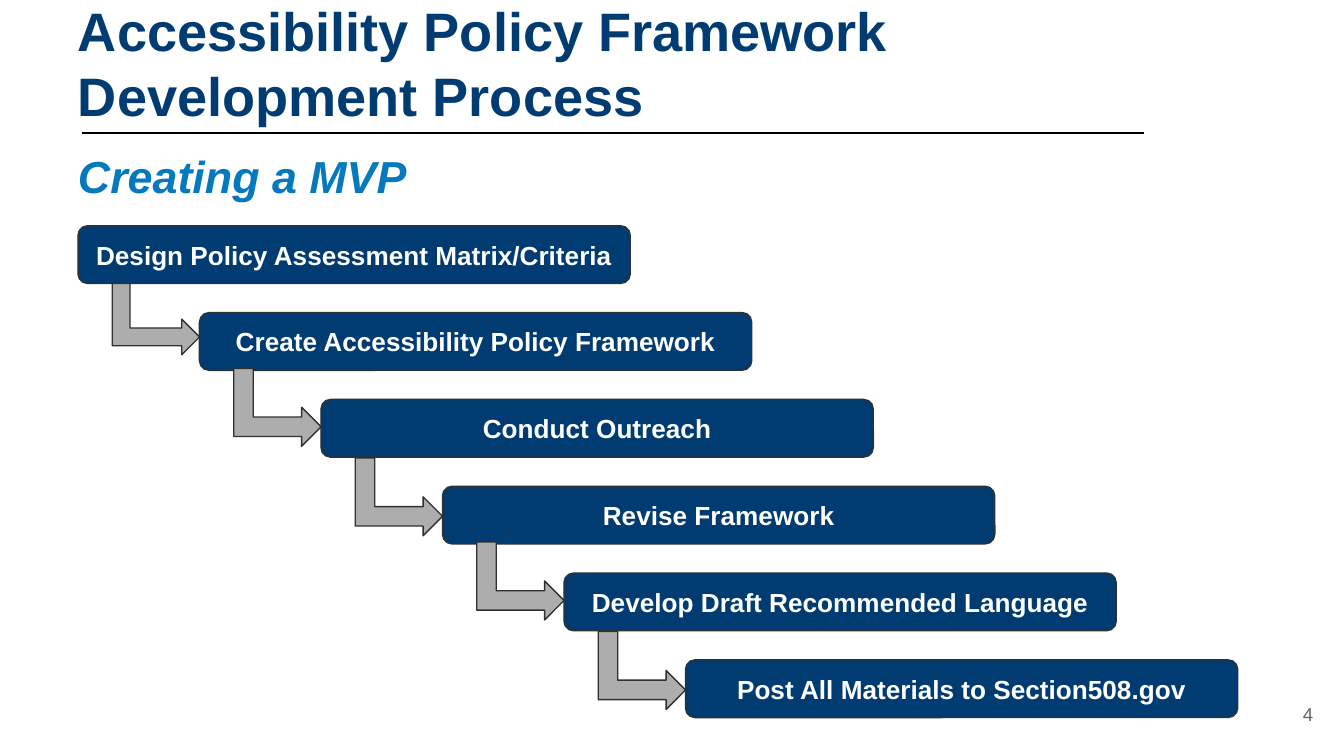
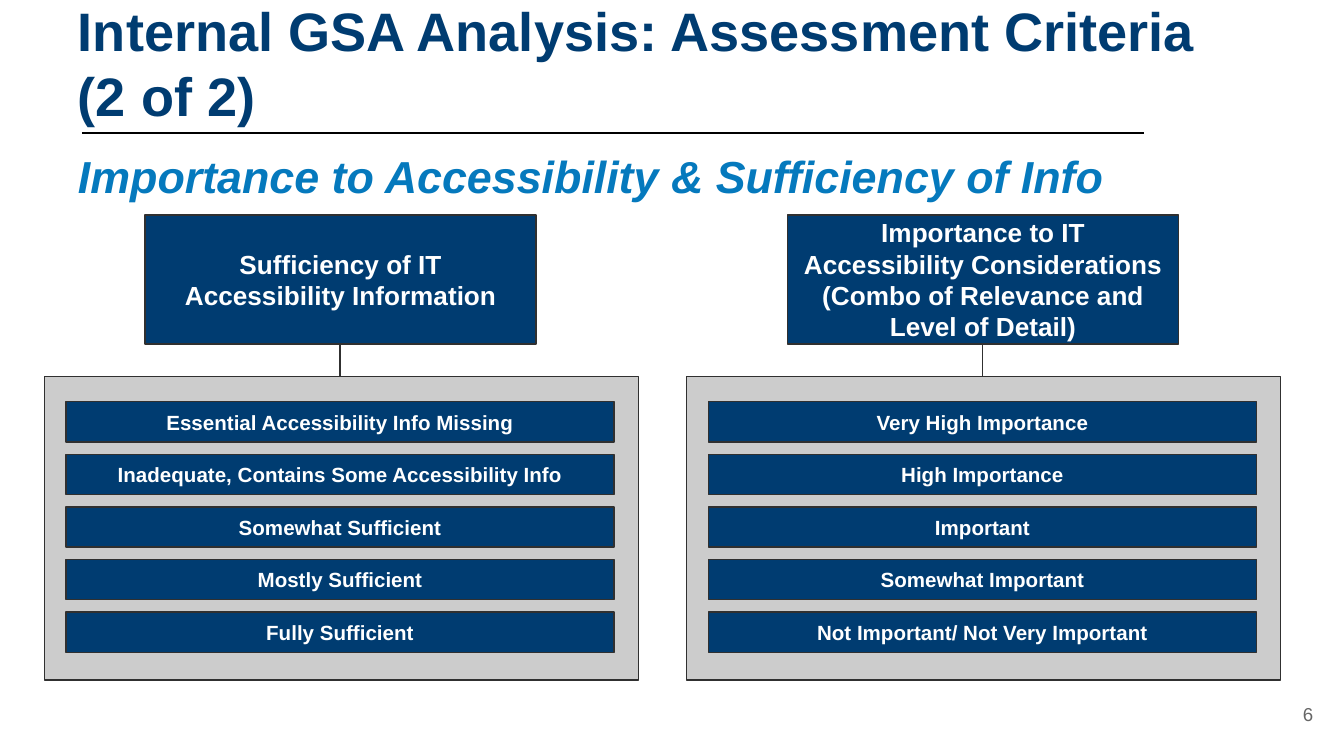
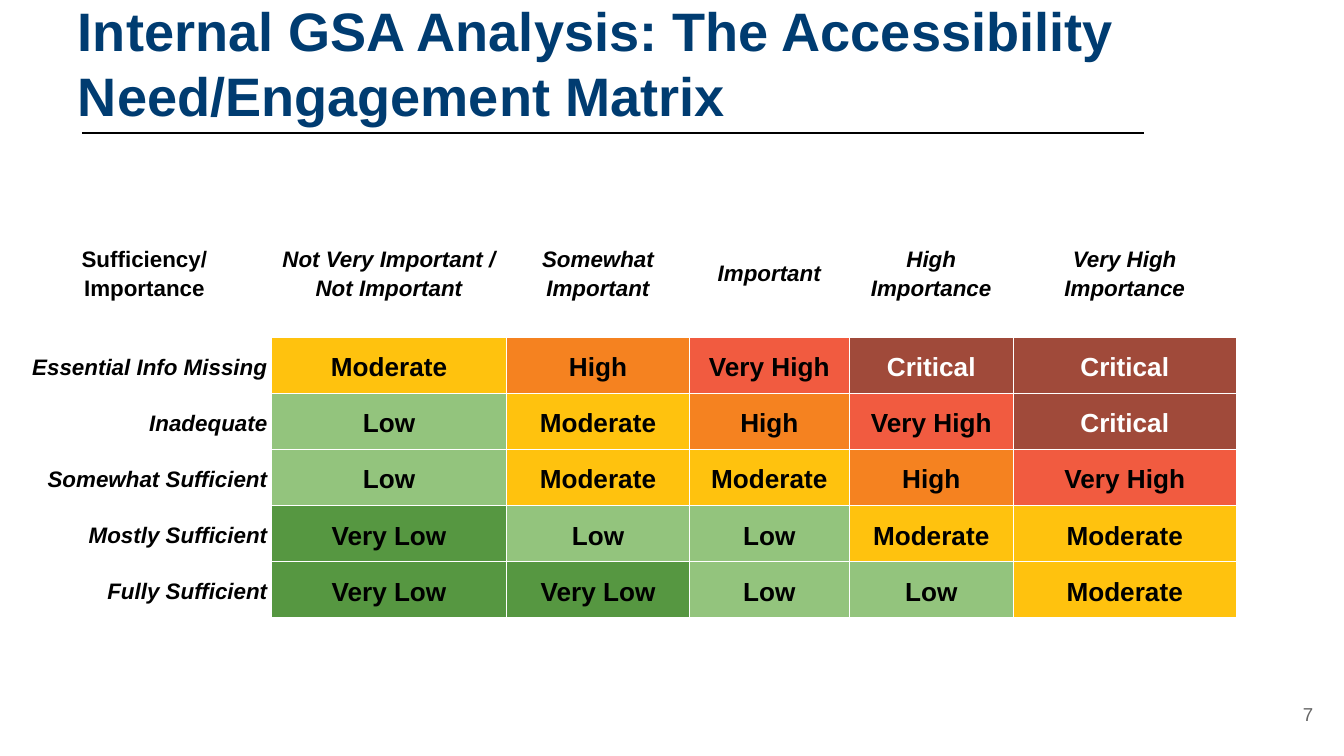
"""Builds three slides on an accessibility policy framework and its need/engagement matrix."""
from lxml import etree
from pptx import Presentation
from pptx import util as u
from pptx.dml.color import RGBColor
from pptx.enum import shapes, text
from pptx.oxml import ns

NAVY = RGBColor(0x00, 0x3C, 0x71)
SKY = RGBColor(0x05, 0x79, 0xBD)
CHARCOAL = RGBColor(0x30, 0x30, 0x30)
SILVER = RGBColor(0xAD, 0xAD, 0xAD)
PANEL_GRAY = RGBColor(0xCC, 0xCC, 0xCC)
NUMBER_GRAY = RGBColor(0x66, 0x66, 0x66)
WHITE = RGBColor(0xFF, 0xFF, 0xFF)
BLACK = RGBColor(0x00, 0x00, 0x00)
LEVELS = {
    "Very Low": RGBColor(0x56, 0x97, 0x41),
    "Low": RGBColor(0x93, 0xC4, 0x7D),
    "Moderate": RGBColor(0xFF, 0xC2, 0x0E),
    "High": RGBColor(0xF5, 0x82, 0x20),
    "Very High": RGBColor(0xF1, 0x5B, 0x40),
    "Critical": RGBColor(0xA0, 0x4A, 0x3A),
}

FONT = "Arial"
WIDTH, HEIGHT = u.Inches(10), u.Inches(5.625)
COLUMNS = 100
LEFT, CENTER, RIGHT = text.PP_ALIGN.LEFT, text.PP_ALIGN.CENTER, text.PP_ALIGN.RIGHT
TOP, MIDDLE, BOTTOM = text.MSO_ANCHOR.TOP, text.MSO_ANCHOR.MIDDLE, text.MSO_ANCHOR.BOTTOM
RECT = shapes.MSO_SHAPE.RECTANGLE


def grid(*lengths):
    """Turn grid columns and rows, which are squares, into lengths."""
    return [round(WIDTH / COLUMNS * length) for length in lengths]


def write(frame, content, size=14, color=WHITE, bold=True, italic=False,
          align=CENTER, spacing=1.0, after=0):
    """Fill a text frame, one paragraph for each line of the content."""
    for index, line in enumerate(content.split("\n")):
        paragraph = frame.add_paragraph() if index else frame.paragraphs[0]
        paragraph.alignment = align
        paragraph.line_spacing = spacing
        paragraph.space_before, paragraph.space_after = u.Pt(0), u.Pt(after)
        run = paragraph.add_run()
        run.text = line
        run.font.name, run.font.size = FONT, u.Pt(size)
        run.font.bold, run.font.italic = bold, italic
        run.font.color.rgb = color


class Deck:
    """Holds the shared style and the current slide."""

    def __init__(self):
        self.prs = Presentation()
        self.prs.slide_width, self.prs.slide_height = WIDTH, HEIGHT
        self.slide = None

    def start(self, title, number, subtitle=None):
        """Open a slide with its title, number and optional subtitle."""
        layout = self.prs.slide_layouts[0 if subtitle else 5]
        first = self.slide is None
        self.slide = self.prs.slides.add_slide(layout)
        if first:
            self.master_rule()
        self.heading(self.slide.shapes.title, (4.8, 0.9, 87.9, 9.6), BOTTOM)
        write(self.slide.shapes.title.text_frame, title, size=29, color=NAVY, align=LEFT)
        if subtitle:
            strapline = self.slide.placeholders[1]
            self.heading(strapline, (4.8, 9.5, 87.9, 4.3), TOP)
            write(strapline.text_frame, subtitle, size=24, color=SKY, italic=True,
                  align=LEFT, spacing=1.15, after=16)
        page = self.slide.shapes.add_textbox(*grid(92.7, 51, 6, 4.3))
        self.frame(page, MIDDLE)
        write(page.text_frame, str(number), size=10, color=NUMBER_GRAY, bold=False, align=RIGHT)

    def frame(self, shape, anchor):
        """Set the margins, wrapping and anchor of a shape's text."""
        frame = shape.text_frame
        frame.word_wrap, frame.auto_size = True, text.MSO_AUTO_SIZE.NONE
        frame.vertical_anchor = anchor
        (frame.margin_left, frame.margin_top,
         frame.margin_right, frame.margin_bottom) = grid(1, 1, 1, 1)

    def heading(self, placeholder, place, anchor):
        """Move a placeholder and set its frame."""
        (placeholder.left, placeholder.top,
         placeholder.width, placeholder.height) = grid(*place)
        self.frame(placeholder, anchor)

    def line(self, start, end, color, weight, kind=shapes.MSO_CONNECTOR.STRAIGHT):
        """Draw a connector between two grid points."""
        connector = self.slide.shapes.add_connector(kind, *grid(*start, *end))
        connector.line.color.rgb, connector.line.width = color, u.Pt(weight)
        etree.SubElement(connector.element.spPr, ns.qn("a:effectLst"))
        return connector

    def master_rule(self):
        """Put the line under the title on the slide master."""
        rule = self.line((6.1, 9.9), (85.1, 9.9), BLACK, 1.5).element
        rule.nvCxnSpPr.cNvPr.set("id", "20")
        self.prs.slide_master.shapes.element.append(rule)

    def box(self, place, content="", fill=NAVY, kind=RECT, size=14, group=None):
        """Draw an outlined preset shape, with text if there is any."""
        owner = group or self.slide
        shape = owner.shapes.add_shape(kind, *grid(*place))
        shape.shadow.inherit = False
        shape.fill.solid()
        shape.fill.fore_color.rgb = fill
        shape.line.color.rgb, shape.line.width = CHARCOAL, u.Pt(0.75)
        if content:
            self.frame(shape, MIDDLE)
            write(shape.text_frame, content, size=size)
        return shape

    def scale(self, centre, topic, ratings):
        """Draw a topic box joined to a panel of ratings."""
        self.line((centre, 25.6), (centre, 28), CHARCOAL, 0.75, shapes.MSO_CONNECTOR.ELBOW)
        self.box((centre - 14.5, 16, 29.1, 9.6), topic)
        group = self.slide.shapes.add_group_shape()
        self.box((centre - 22, 28, 44.2, 22.6), fill=PANEL_GRAY, group=group)
        for index, rating in enumerate(ratings):
            self.box((centre - 20.4, 29.9 + 3.91 * index, 40.8, 3), rating, size=11, group=group)

    def cell(self, cell, content, fill=None, **style):
        """Fill one table cell, with white borders."""
        cell.vertical_anchor = MIDDLE
        cell.margin_left, cell.margin_top, cell.margin_right, cell.margin_bottom = grid(
            0.3, 0.2, 0.3, 0.2)
        properties = cell._tc.get_or_add_tcPr()
        for side in "LRTB":
            border = etree.SubElement(properties, ns.qn(f"a:ln{side}"), w=str(u.Pt(0.75)))
            solid = etree.SubElement(border, ns.qn("a:solidFill"))
            etree.SubElement(solid, ns.qn("a:srgbClr"), val=str(WHITE))
        if fill is None:
            cell.fill.background()
        else:
            cell.fill.solid()
            cell.fill.fore_color.rgb = fill
        write(cell.text_frame, content, spacing=1.15, **style)

    def matrix(self, place, widths, heights, header, body):
        """Draw a table whose ratings are coloured by level."""
        table = self.slide.shapes.add_table(len(heights), len(widths), *grid(*place)).table
        table.first_row = table.horz_banding = False
        for column, width in zip(table.columns, grid(*widths)):
            column.width = width
        for row, height in zip(table.rows, grid(*heights)):
            row.height = height
        for col, label in enumerate(header):
            self.cell(table.cell(0, col), label, size=12, color=BLACK, italic=col > 0)
        for row, (sufficiency, *needs) in enumerate(body, 1):
            self.cell(table.cell(row, 0), sufficiency, size=12, color=BLACK,
                      italic=True, align=RIGHT)
            for col, need in enumerate(needs, 1):
                self.cell(table.cell(row, col), need, LEVELS[need],
                          color=WHITE if need == "Critical" else BLACK)


def process(deck):
    """Build the staircase of process steps."""
    deck.start("Accessibility Policy Framework Development Process", 4, "Creating a MVP")
    steps = ["Design Policy Assessment Matrix/Criteria", "Create Accessibility Policy Framework",
             "Conduct Outreach", "Revise Framework", "Develop Draft Recommended Language",
             "Post All Materials to Section508.gov"]
    drops = [3.7, 3.8, 4, 3.8, 4]
    for index, step in enumerate(steps):
        left, top = 5.8 + 9.04 * index, 16.8 + 6.46 * index
        deck.box((left, top, 41.1, 4.3), step, kind=shapes.MSO_SHAPE.ROUNDED_RECTANGLE)
        if index < len(drops):
            breadth = 5.8 if index else 5.3
            arrow = deck.box((left + 5.8 - breadth / 2, top + drops[index], breadth, 6.5),
                             fill=SILVER, kind=shapes.MSO_SHAPE.BENT_UP_ARROW)
            arrow.rotation = 90


def criteria(deck):
    """Build the two rating scales."""
    deck.start("Internal GSA Analysis: Assessment Criteria (2 of 2)", 6,
               "Importance to Accessibility & Sufficiency of Info")
    deck.scale(25.3, "Sufficiency of IT Accessibility Information",
               ["Essential Accessibility Info Missing",
                "Inadequate, Contains Some Accessibility Info",
                "Somewhat Sufficient", "Mostly Sufficient", "Fully Sufficient"])
    deck.scale(73.1, "Importance to IT Accessibility Considerations\n"
                     "(Combo of Relevance and Level of Detail)",
               ["Very High Importance", "High Importance", "Important",
                "Somewhat Important", "Not Important/ Not Very Important"])


def needs_matrix(deck):
    """Build the matrix of sufficiency against importance."""
    deck.start("Internal GSA Analysis: The Accessibility Need/Engagement Matrix", 7)
    deck.matrix(
        (1.3, 15.4, 90.8, 30.6), [18.9, 17.5, 13.6, 11.9, 12.2, 16.6], [9.7] + [4.18] * 5,
        ["Sufficiency/\nImportance", "Not Very Important / Not Important",
         "Somewhat Important", "Important", "High Importance", "Very High Importance"],
        [["Essential Info Missing", "Moderate", "High", "Very High", "Critical", "Critical"],
         ["Inadequate", "Low", "Moderate", "High", "Very High", "Critical"],
         ["Somewhat Sufficient", "Low", "Moderate", "Moderate", "High", "Very High"],
         ["Mostly Sufficient", "Very Low", "Low", "Low", "Moderate", "Moderate"],
         ["Fully Sufficient", "Very Low", "Very Low", "Low", "Low", "Moderate"]])


def main():
    """Build and save the deck."""
    deck = Deck()
    process(deck)
    criteria(deck)
    needs_matrix(deck)
    deck.prs.save("out.pptx")


if __name__ == "__main__":
    main()
